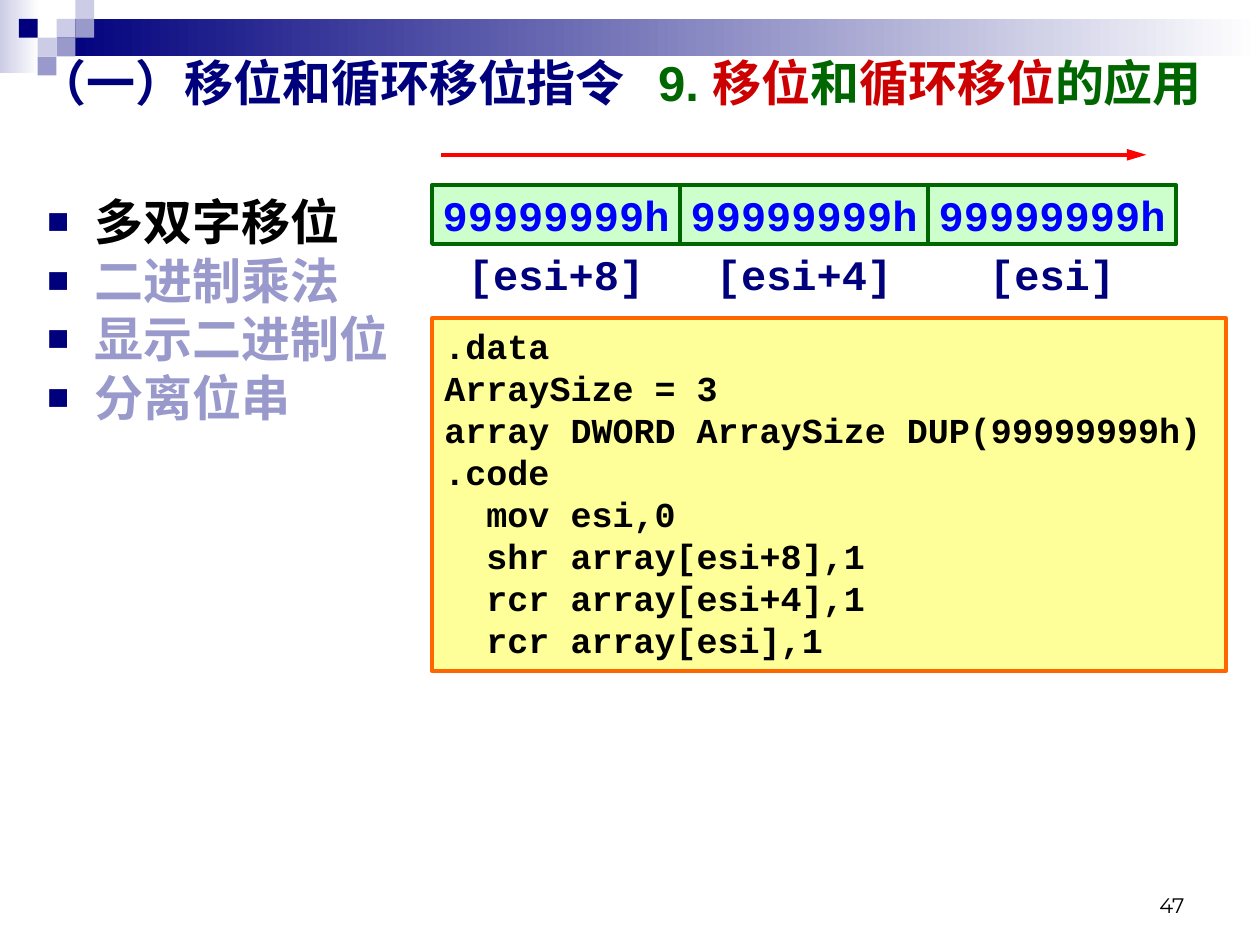
from dataclasses import dataclass

from lxml import etree
from pptx import Presentation
from pptx import util as u
from pptx.dml.color import RGBColor
from pptx.enum import shapes, text
from pptx.oxml.ns import qn


@dataclass(frozen=True)
class Theme:
    navy: str = "00007D"
    lavender: str = "9999CC"
    pale: str = "CCCCE6"
    white: str = "FFFFFF"
    black: str = "000000"
    green: str = "006600"
    crimson: str = "CC0000"
    red: str = "FF0000"
    blue: str = "0000FF"
    mint: str = "CCFFCC"
    yellow: str = "FFFF99"
    orange: str = "FF6600"
    heading_font: str = "Arial"
    body_font: str = "Times New Roman"
    code_font: str = "Courier New"
    number_font: str = "Montserrat"
    heading_size: int = 28
    cell_size: int = 24
    code_size: int = 20
    number_size: int = 12
    outline: float = 2.25


THEME = Theme()


def rgb(value):
    return RGBColor.from_string(value)


def lengths(box):
    return [u.Cm(value) for value in box]


def add_run(paragraph, wording, font, size, color, bold=True):
    run = paragraph.add_run()
    run.text = wording
    run.font.name = font
    run.font.size = u.Pt(size)
    run.font.bold = bold
    run.font.color.rgb = rgb(color)


def add_rect(slide, box, fill, line=None):
    """Rectangle with one fill colour, or a left-to-right gradient for a pair."""
    rect = slide.shapes.add_shape(shapes.MSO_SHAPE.RECTANGLE, *lengths(box))
    rect.shadow.inherit = False
    if isinstance(fill, tuple):
        rect.fill.gradient()
        rect.fill.gradient_angle = 0
        for stop, color, position in zip(rect.fill.gradient_stops, fill, (0, 1)):
            stop.color.rgb = rgb(color)
            stop.position = position
    else:
        rect.fill.solid()
        rect.fill.fore_color.rgb = rgb(fill)
    if line:
        rect.line.color.rgb = rgb(line)
        rect.line.width = u.Pt(THEME.outline)
    else:
        rect.line.fill.background()
    return rect


def add_text_box(slide, box, anchor=text.MSO_ANCHOR.TOP):
    frame = slide.shapes.add_textbox(*lengths(box)).text_frame
    frame.word_wrap = True
    frame.vertical_anchor = anchor
    return frame


def add_paragraphs(frame, count):
    return [frame.paragraphs[0]] + [frame.add_paragraph() for _ in range(count - 1)]


def set_bullet(paragraph, indent):
    props = paragraph._p.get_or_add_pPr()
    props.set("marL", str(indent))
    props.set("indent", str(-indent))
    color = etree.SubElement(props, qn("a:buClr"))
    etree.SubElement(color, qn("a:srgbClr"), val=THEME.navy)
    etree.SubElement(props, qn("a:buSzPct"), val="75000")
    etree.SubElement(props, qn("a:buFont"), typeface=THEME.heading_font)
    etree.SubElement(props, qn("a:buChar"), char="■")


def add_banner(slide):
    unit = 0.38
    add_rect(slide, (0, 0, 0.79, 1.47), (THEME.pale, THEME.white))
    add_rect(slide, (3 * unit, unit, 25.4 - 3 * unit, 2 * unit), (THEME.navy, THEME.white))
    mosaic = [
        (3, 1, THEME.pale), (4, 0, THEME.pale), (4, 1, THEME.lavender),
        (2, 2, THEME.pale), (1, 1, THEME.navy), (3, 2, THEME.lavender),
        (2, 3, THEME.lavender),
    ]
    for column, row, color in mosaic:
        add_rect(slide, (column * unit, row * unit, unit, unit), color)


def add_title(slide, parts):
    heading = add_text_box(slide, (0.51, 0.93, 24.41, 1.6)).paragraphs[0]
    for wording, color in parts:
        add_run(heading, wording, THEME.heading_font, THEME.heading_size, color)


def add_topics(slide, topics, current):
    frame = add_text_box(slide, (0.7, 3.73, 24, 14.94))
    for paragraph, topic in zip(add_paragraphs(frame, len(topics)), topics):
        set_bullet(paragraph, u.Cm(0.96))
        color = THEME.black if topic == current else THEME.lavender
        add_run(paragraph, topic, THEME.body_font, THEME.heading_size, color)


def add_centred(frame, wording, color):
    frame.word_wrap = False
    frame.vertical_anchor = text.MSO_ANCHOR.MIDDLE
    paragraph = frame.paragraphs[0]
    paragraph.alignment = text.PP_ALIGN.CENTER
    add_run(paragraph, wording, THEME.code_font, THEME.cell_size, color)


def add_memory(slide, addresses, value):
    left, top, width, height = 8.71, 3.73, 5, 1.19
    for index, address in enumerate(addresses):
        x = left + index * width
        cell = add_rect(slide, (x, top, width, height), THEME.mint, THEME.green)
        add_centred(cell.text_frame, value, THEME.blue)
        label = add_text_box(slide, (x, top + height, width, height))
        add_centred(label, address, THEME.navy)


def add_shift_arrow(slide, start, end, y):
    arrow = slide.shapes.add_connector(
        shapes.MSO_CONNECTOR.STRAIGHT, *lengths((start, y, end, y)))
    arrow.line.color.rgb = rgb(THEME.red)
    arrow.line.width = u.Pt(THEME.outline)
    etree.SubElement(arrow.line._get_or_add_ln(), qn("a:tailEnd"),
                     type="triangle", len="lg")
    etree.SubElement(arrow._element.spPr, qn("a:effectLst"))


def add_code(slide, listing):
    panel = add_rect(slide, (8.71, 6.42, 16, 7.11), THEME.yellow, THEME.orange)
    frame = panel.text_frame
    frame.word_wrap = True
    frame.vertical_anchor = text.MSO_ANCHOR.TOP
    for paragraph, code in zip(add_paragraphs(frame, len(listing)), listing):
        paragraph.alignment = text.PP_ALIGN.LEFT
        add_run(paragraph, code, THEME.code_font, THEME.code_size, THEME.black)


def add_page_number(slide, number):
    frame = add_text_box(slide, (18.21, 17.35, 5.92, 1.27), text.MSO_ANCHOR.BOTTOM)
    paragraph = frame.paragraphs[0]
    paragraph.alignment = text.PP_ALIGN.RIGHT
    add_run(paragraph, number, THEME.number_font, THEME.number_size, THEME.black, False)


def main():
    deck = Presentation()
    deck.slide_width, deck.slide_height = u.Cm(25.4), u.Cm(19.05)
    slide = deck.slides.add_slide(deck.slide_layouts[6])

    # Banner and page number
    add_banner(slide)
    add_page_number(slide, "47")

    # Topics and title
    add_topics(slide, ["多双字移位", "二进制乘法", "显示二进制位", "分离位串"], "多双字移位")
    add_title(slide, [
        ("（一）移位和循环移位指令   ", THEME.navy), ("9. ", THEME.green),
        ("移位", THEME.crimson), ("和", THEME.green),
        ("循环移位", THEME.crimson), ("的应用", THEME.green),
    ])

    # Shift example: code, memory cells and direction
    add_code(slide, [
        ".data",
        "ArraySize = 3",
        "array DWORD ArraySize DUP(99999999h)",
        ".code",
        "  mov esi,0",
        "  shr array[esi+8],1",
        "  rcr array[esi+4],1",
        "  rcr array[esi],1",
    ])
    add_memory(slide, ["[esi+8]", "[esi+4]", "[esi]"], "99999999h")
    add_shift_arrow(slide, 8.89, 23.11, 3.12)

    deck.save("out.pptx")


if __name__ == "__main__":
    main()
